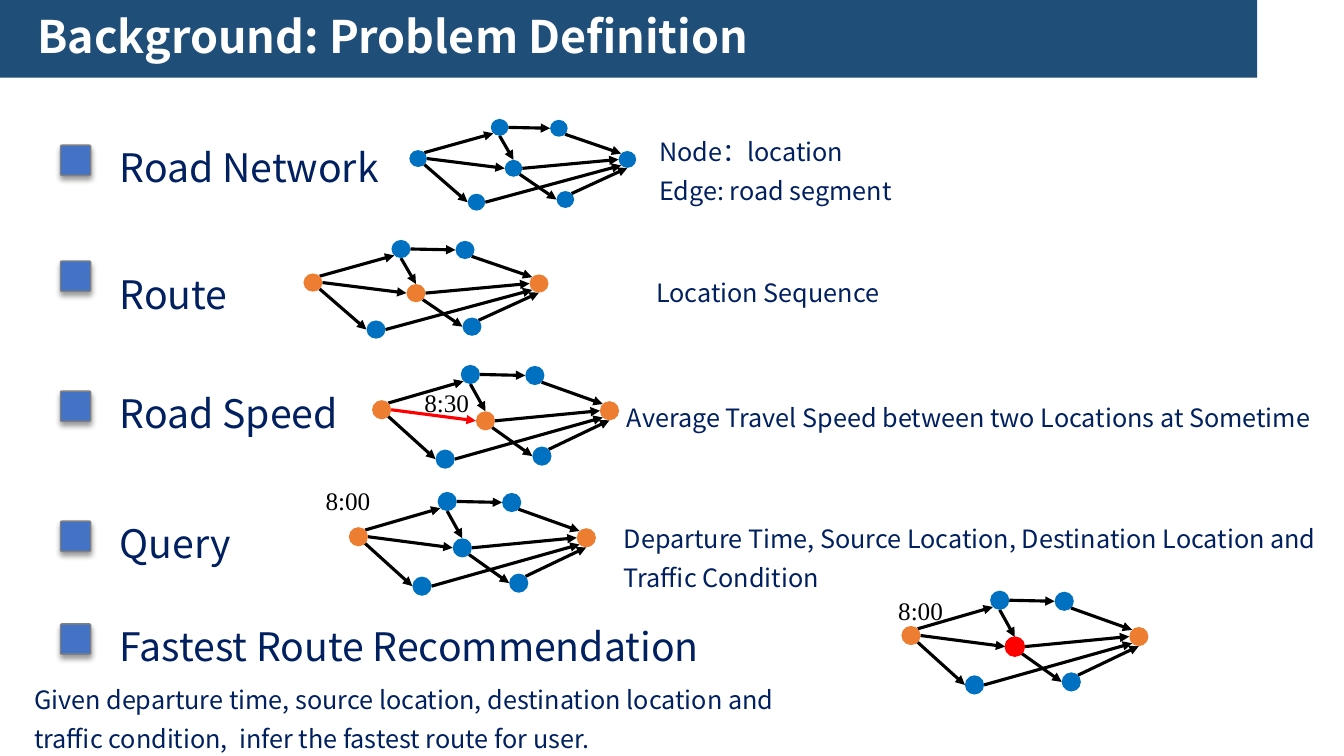
"""Build the problem definition slide with its five road graphs."""
from lxml.etree import SubElement
from pptx import Presentation
from pptx.dml.color import RGBColor
from pptx.enum.shapes import MSO_CONNECTOR as Connector, MSO_SHAPE as Shape
from pptx.oxml.ns import qn
from pptx.util import Inches, Pt

NAVY = RGBColor(0x00, 0x20, 0x60)
BANNER = RGBColor(0x1F, 0x4E, 0x79)
BULLET = RGBColor(0x44, 0x72, 0xC4)
GRAY = RGBColor(0x7F, 0x7F, 0x7F)
BLUE = RGBColor(0x00, 0x70, 0xC0)
ORANGE = RGBColor(0xED, 0x7D, 0x31)
RED = RGBColor(0xFF, 0x00, 0x00)
BLACK = RGBColor(0x00, 0x00, 0x00)
WHITE = RGBColor(0xFF, 0xFF, 0xFF)

SANS, SERIF = "Noto Sans CJK SC", "Times New Roman"
CELL = Inches(0.1)
COLUMNS, ROWS = 133.3, 75

GRAPH_SIZE = (24.5, 10.3)
NODE = 1.9
LOCATIONS = {
    "source": (0, 3.5), "south": (6.3, 8.4), "target": (22.6, 3.6),
    "northeast": (15.2, 0.1), "northwest": (8.8, 0),
    "hub": (10.3, 4.6), "southeast": (15.9, 8.1),
}
NEAR, FAR = 0.15, 0.85
RIM = {
    "n": (0.5, 0), "nw": (NEAR, NEAR), "w": (0, 0.5), "sw": (NEAR, FAR),
    "s": (0.5, 1), "se": (FAR, FAR), "e": (1, 0.5), "ne": (FAR, NEAR),
}
ROADS = [
    ("source", "ne", "northwest", "sw"), ("source", "se", "south", "w"),
    ("northeast", "se", "target", "nw"), ("south", "e", "target", "sw"),
    ("source", "e", "hub", "w"), ("northwest", "s", "hub", "n"),
    ("northwest", "e", "northeast", "w"), ("hub", "se", "southeast", "w"),
    ("hub", "e", "target", "w"), ("southeast", "ne", "target", "s"),
]
ENDS = {"source": ORANGE, "target": ORANGE}
ROUTE = {**ENDS, "hub": ORANGE}

TOPICS = [
    ("Road Network", 12.3, 14.4), ("Route", 24.9, 25.9),
    ("Road Speed", 36.7, 38.8), ("Query", 49.6, 51.7),
    ("Fastest Route Recommendation", 59.8, 61.9),
]
GRAPHS = [
    ((40.6, 11.8, 22.5, 9.1), {}, None),
    ((30.1, 23.8, 24.3, 9.8), ROUTE, None),
    ((36.9, 36.2, *GRAPH_SIZE), ROUTE, ("source", "hub")),
    ((34.6, 48.8, *GRAPH_SIZE), ENDS, None),
    ((89.4, 58.6, *GRAPH_SIZE), {**ENDS, "hub": RED}, None),
]
TIMES = [("8:30", 41.1, 37.9), ("8:00", 31.3, 47.7), ("8:00", 88.1, 58.6)]
DETAILS = [
    ("Node：location\nEdge: road segment", (64.4, 12.1, 59.5, 8.5)),
    ("Location Sequence", (64.1, 26.1, 66.2, 4.6)),
    ("Average Travel Speed between two Locations at Sometime",
     (61.2, 38.5, 72.1, 4.6)),
    ("Departure Time, Source Location, Destination Location and\n"
     "Traffic Condition", (60.9, 50.5, 72.4, 8.5)),
    ("Given departure time, source location, destination location and "
     "traffic condition,  infer the fastest route for user.",
     (2.4, 66.5, 79.5, 8.5)),
]


def cells(*counts):
    """Turn grid counts into lengths."""
    return [round(count * CELL) for count in counts]


def write(frame, text, size=18, font=SANS, color=NAVY, bold=False, spacing=1.3):
    """Fill a text frame, one paragraph per line."""
    frame.word_wrap = True
    for index, line in enumerate(text.split("\n")):
        paragraph = frame.add_paragraph() if index else frame.paragraphs[0]
        paragraph.line_spacing = spacing
        run = paragraph.add_run()
        run.text = line
        run.font.size, run.font.name, run.font.bold = Pt(size), font, bold
        run.font.color.rgb = color
        SubElement(run.font._element, qn("a:ea"), typeface=font)


class Board:
    """Hold the slide and draw its elements on the grid."""

    def __init__(self, slide):
        """Keep the slide to draw on."""
        self.slide = slide

    def shape(self, kind, box, fill, line=None, parent=None):
        """Add a filled preset shape."""
        shape = (parent or self.slide).shapes.add_shape(kind, *cells(*box))
        shape.shadow.inherit = False
        shape.fill.solid()
        shape.fill.fore_color.rgb = fill
        if line is None:
            shape.line.fill.background()
        else:
            shape.line.color.rgb = line
            shape.line.width = Pt(1)
        return shape

    def text(self, text, box, **style):
        """Add a text box."""
        write(self.slide.shapes.add_textbox(*cells(*box)).text_frame, text, **style)

    def bullet(self, top):
        """Add a square bullet with a soft shadow below it."""
        square = self.shape(Shape.ROUNDED_RECTANGLE, (6, top, 3, 3), BULLET, GRAY)
        square.adjustments[0] = 0.05
        effects = square._element.spPr.find(qn("a:effectLst"))
        shadow = SubElement(effects, qn("a:outerShdw"), blurRad=str(Pt(4)),
                            dist=str(Pt(3)), dir="5400000", rotWithShape="0")
        tint = SubElement(shadow, qn("a:srgbClr"), val=str(BLACK))
        SubElement(tint, qn("a:alpha"), val="40000")

    def arrow(self, start, end, color, parent):
        """Add a straight arrow."""
        arrow = parent.shapes.add_connector(
            Connector.STRAIGHT, *cells(*start, *end))
        arrow.line.color.rgb = color
        arrow.line.width = Pt(2.25)
        SubElement(arrow.line._get_or_add_ln(), qn("a:tailEnd"), type="triangle")
        SubElement(arrow._element.spPr, qn("a:effectLst"))

    def graph(self, box, marked, red_road):
        """Add a road graph scaled to its box."""
        left, top, width, height = box
        across, down = width / GRAPH_SIZE[0], height / GRAPH_SIZE[1]
        group = self.slide.shapes.add_group_shape()

        def place(location, share=(0, 0)):
            x, y = LOCATIONS[location]
            return (left + (x + NODE * share[0]) * across,
                    top + (y + NODE * share[1]) * down)

        for begin, leave, finish, reach in ROADS:
            color = RED if (begin, finish) == red_road else BLACK
            self.arrow(place(begin, RIM[leave]), place(finish, RIM[reach]),
                       color, group)
        for location in LOCATIONS:
            fill = marked.get(location, BLUE)
            self.shape(Shape.OVAL, (*place(location), NODE * across, NODE * down),
                       fill, RED if fill == RED else None, group)


def main():
    """Build and save the slide."""
    deck = Presentation()
    deck.slide_width, deck.slide_height = cells(COLUMNS, ROWS)
    board = Board(deck.slides.add_slide(deck.slide_layouts[6]))
    board.shape(Shape.RECTANGLE, (0, 0, 124.7, 7.7), BANNER)
    board.text("Background: Problem Definition", (2.7, 0.4, 122.8, 9.4),
               size=32, color=WHITE, bold=True, spacing=1)
    for topic, top, bullet_top in TOPICS:
        board.bullet(bullet_top)
        board.text(topic, (10.9, top, 100.7, 6.5), size=28)
    for box, marked, red_road in GRAPHS:
        board.graph(box, marked, red_road)
    for time, left, top in TIMES:
        board.text(time, (left, top, 7.9, 4), font=SERIF, color=BLACK, spacing=1)
    for detail, box in DETAILS:
        board.text(detail, box)
    deck.save("out.pptx")


if __name__ == "__main__":
    main()
